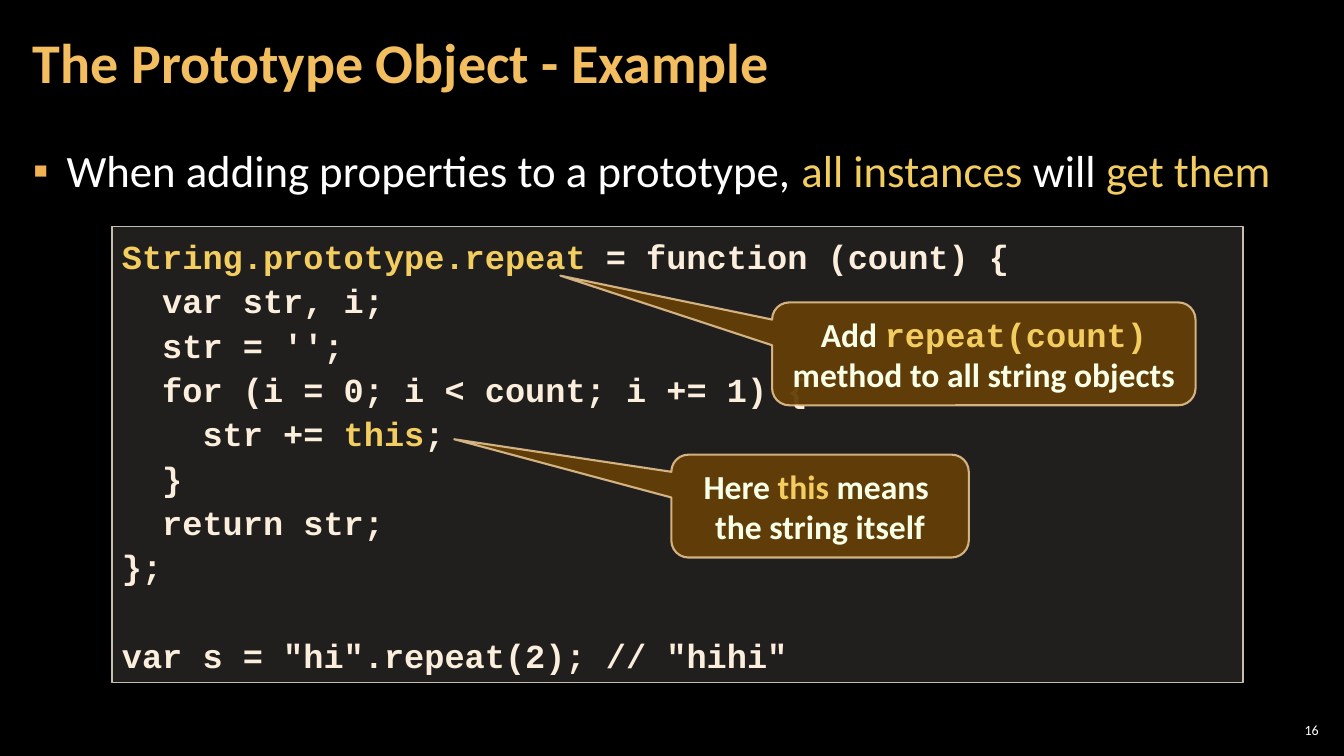
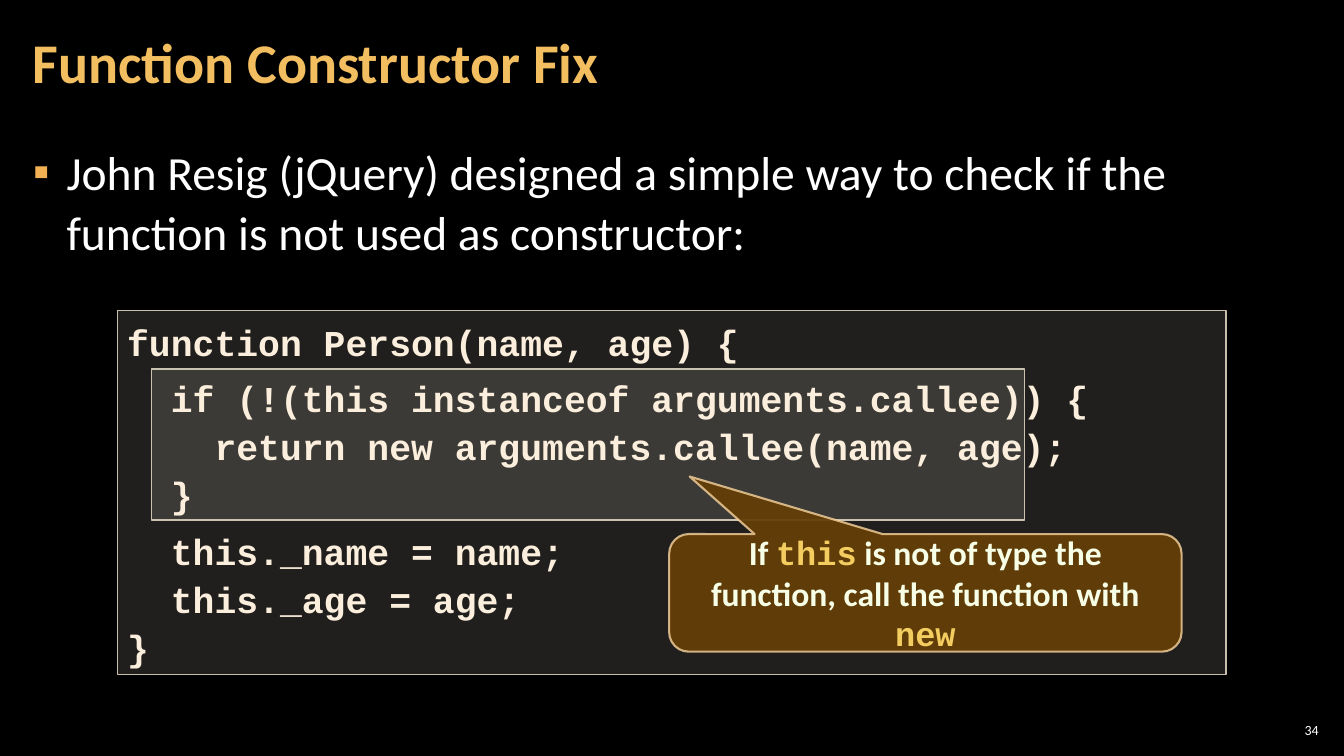
from lxml import etree
from pptx import Presentation
from pptx.dml.color import RGBColor
from pptx.enum.shapes import MSO_SHAPE
from pptx.enum.text import MSO_ANCHOR, MSO_AUTO_SIZE, PP_ALIGN
from pptx.oxml.ns import qn
from pptx.util import Pt

RECTANGLE = MSO_SHAPE.RECTANGLE
CALLOUT = MSO_SHAPE.ROUNDED_RECTANGULAR_CALLOUT
TOP, MIDDLE = MSO_ANCHOR.TOP, MSO_ANCHOR.MIDDLE
LEFT, CENTER, RIGHT = PP_ALIGN.LEFT, PP_ALIGN.CENTER, PP_ALIGN.RIGHT
NO_AUTOFIT = MSO_AUTO_SIZE.NONE

# Shared look
SANS, MONO = "Calibri", "Courier New"
BLACK, WHITE = "000000", "FFFFFF"
TITLE_COLOR, BULLET_COLOR, ACCENT = "F3BE60", "F2B254", "F3CD60"
CODE_COLOR, CALLOUT_COLOR = "FBEEDC", "F7FFE7"
PANEL = dict(fill="D9D5C7", line="C7BFAC", width=1, opacities=(15, 100))
BUBBLE = dict(fill="643F07", line="F8D49E", width=1.5, opacities=(95, 80))
PLACEHOLDER_BOXES = [(15, 3, 754, 87), (15, 91, 930, 438)]

# Text is a list of parts, in which every second part is accented.
# Code gaps map a line index to its space before and after.
SLIDES = [
    dict(
        number="16",
        title="The Prototype Object - Example",
        bullet=["When adding properties to a prototype, ", "all instances ",
                "will ", "get them"],
        bullet_size=32,
        highlights=[],
        code_box=(80, 162, 808, 325.5),
        code_size=24,
        code=[
            ["", "String.prototype.repeat", " = function (count) {"],
            ["  var str, i;"],
            ["  str = '';"],
            ["  for (i = 0; i < count; i += 1) {"],
            ["    str += ", "this", ";"],
            ["  }"],
            ["  return str;"],
            ["};"],
            ['var s = "hi".repeat(2); // "hihi"'],
        ],
        code_gaps={8: (32, 0)},
        callouts=[
            ((551.5, 216, 302.5, 73.5), (-1, -0.76), MONO,
             ["Add ", "repeat(count)", " method to all string objects"]),
            ((479.5, 324.75, 212.5, 73.5), (-1.23, -0.65), SANS,
             ["Here ", "this ", "means \nthe string itself"]),
        ],
    ),
    dict(
        number="34",
        title="Function Constructor Fix",
        bullet=["John Resig (jQuery) designed a simple way to check if the "
                "function is not used as constructor:"],
        bullet_size=34,
        highlights=[(108, 263.5, 624, 108)],
        code_box=(83.75, 221.75, 792, 260),
        code_size=26,
        code=[
            ["function Person(name, age) {"],
            ["  if (!(this instanceof arguments.callee)) {"],
            ["    return new arguments.callee(name, age);"],
            ["  }"],
            ["  this._name = name;"],
            ["  this._age = age;"],
            ["}"],
        ],
        code_gaps={1: (6, 0), 3: (0, 6)},
        callouts=[
            ((478, 381.5, 366, 84), (-0.46, -0.99), MONO,
             ["If ", "this", " is not of type the function, "
              "call the function with ", "new"]),
        ],
    ),
]


def paint(fill, color):
    fill.solid()
    fill.fore_color.rgb = RGBColor.from_string(color)


def write(paragraph, parts, font, size, color, bold=False, align=LEFT,
          spacing=1.0, accent_font=None):
    paragraph.alignment = align
    paragraph.line_spacing = spacing
    paragraph.font.size = Pt(size)
    paragraph.font.bold = bold
    if len(parts) == 1:
        paragraph.font.name = font
        paint(paragraph.font.fill, color)
    for index, part in enumerate(parts):
        accented = index % 2 == 1
        for line_index, text in enumerate(part.split("\n")):
            if line_index:
                paragraph.add_line_break()
            if not text:
                continue
            run = paragraph.add_run()
            run.text = text
            if len(parts) > 1:
                run.font.name = accent_font or font if accented else font
                paint(run.font.fill, ACCENT if accented else color)


presentation = Presentation()
presentation.slide_width, presentation.slide_height = Pt(960), Pt(540)
paint(presentation.slide_master.background.fill, BLACK)

# Title and body places, inherited by every slide
layout = presentation.slide_layouts[1]
for index, box in enumerate(PLACEHOLDER_BOXES):
    holder = layout.placeholders[index]
    holder.left, holder.top, holder.width, holder.height = map(Pt, box)

for content in SLIDES:
    slide = presentation.slides.add_slide(layout)

    # Title and bullet
    for holder, anchor in zip(slide.placeholders, (MIDDLE, TOP)):
        frame = holder.text_frame
        frame.auto_size = NO_AUTOFIT
        frame.vertical_anchor = anchor
        frame.margin_left = frame.margin_right = Pt(8.5)
        frame.margin_top = frame.margin_bottom = Pt(3)
    write(slide.shapes.title.text_frame.paragraphs[0], [content["title"]],
          SANS, 40, TITLE_COLOR, bold=True, spacing=0.9)

    paragraph = slide.placeholders[1].text_frame.paragraphs[0]
    properties = paragraph._p.get_or_add_pPr()
    properties.set("marL", str(Pt(24)))
    properties.set("indent", str(-Pt(24)))
    bullet_color = etree.SubElement(properties, qn("a:buClr"))
    etree.SubElement(bullet_color, qn("a:srgbClr"), val=BULLET_COLOR)
    etree.SubElement(properties, qn("a:buChar"), char="▪")
    write(paragraph, content["bullet"], SANS, content["bullet_size"], WHITE,
          spacing=1.05)
    paragraph.space_before = Pt(0)
    paragraph.space_after = Pt(6)
    slide.placeholders[1].text_frame.margin_top = Pt(9)

    # Panels and callouts, from back to front
    items = [(RECTANGLE, box, PANEL) for box in content["highlights"]]
    items.append((RECTANGLE, content["code_box"], PANEL))
    items += [(CALLOUT, callout[0], BUBBLE) for callout in content["callouts"]]
    shapes = []
    for kind, box, look in items:
        shape = slide.shapes.add_shape(kind, *map(Pt, box))
        shape.shadow.inherit = False
        paint(shape.fill, look["fill"])
        paint(shape.line.fill, look["line"])
        shape.line.width = Pt(look["width"])
        colors = shape._element.spPr.iter(qn("a:srgbClr"))
        for color, opacity in zip(colors, look["opacities"]):
            etree.SubElement(color, qn("a:alpha"), val=str(opacity * 1000))
        shapes.append(shape)

    # Code
    code_shape = shapes[len(content["highlights"])]
    frame = code_shape.text_frame
    frame.word_wrap = True
    frame.vertical_anchor = TOP
    for index, parts in enumerate(content["code"]):
        paragraph = frame.add_paragraph() if index else frame.paragraphs[0]
        write(paragraph, parts, MONO, content["code_size"], CODE_COLOR,
              bold=True, spacing=1.1)
        before, after = content["code_gaps"].get(index, (0, 0))
        paragraph.space_before, paragraph.space_after = Pt(before), Pt(after)

    # Callout pointers and text
    callout_shapes = shapes[len(content["highlights"]) + 1:]
    for shape, callout in zip(callout_shapes, content["callouts"]):
        box, pointer, accent_font, parts = callout
        shape.adjustments[0], shape.adjustments[1] = pointer
        shape.text_frame.word_wrap = True
        shape.text_frame.vertical_anchor = MIDDLE
        write(shape.text_frame.paragraphs[0], parts, SANS, 24, CALLOUT_COLOR,
              bold=True, align=CENTER, accent_font=accent_font)

    # Slide number
    number_box = slide.shapes.add_textbox(Pt(911), Pt(514), Pt(34), Pt(15))
    frame = number_box.text_frame
    frame.word_wrap = True
    frame.vertical_anchor = MIDDLE
    frame.margin_left = frame.margin_right = Pt(3)
    frame.margin_top = frame.margin_bottom = Pt(3)
    write(frame.paragraphs[0], [content["number"]], SANS, 10, WHITE,
          align=RIGHT)

presentation.save("out.pptx")
